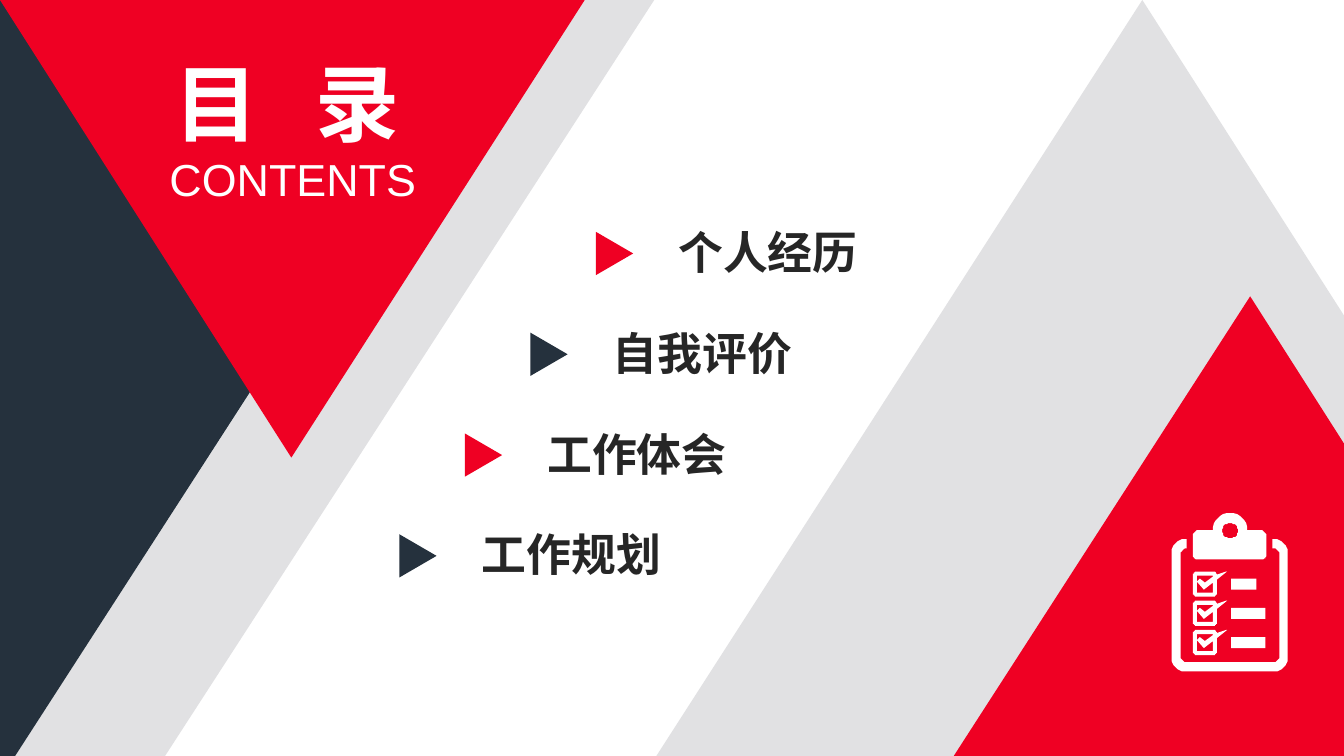
from dataclasses import dataclass

import pptx
import pptx.util
import pptx.dml.color
import pptx.enum.shapes
import pptx.enum.text

GRID = pptx.util.Inches(0.01)
COLUMNS, ROWS = 1333, 750
SHAPES = pptx.enum.shapes.MSO_SHAPE


@dataclass(frozen=True)
class Theme:
    red: str = "EF0023"
    navy: str = "25313D"
    grey: str = "E1E1E3"
    white: str = "FFFFFF"
    ink: str = "262626"
    font: str = "Arial"
    title_size: int = 60
    text_size: int = 32


@dataclass(frozen=True)
class Box:
    left: float
    top: float
    width: float
    height: float

    def inner(self, left, top, width, height):
        return Box(self.left + left, self.top + top, width, height)

    def lengths(self):
        return [round(v * GRID) for v in (self.left, self.top, self.width, self.height)]


THEME = Theme()


def paint(shape, color):
    shape.shadow.inherit = False
    shape.fill.solid()
    shape.fill.fore_color.rgb = pptx.dml.color.RGBColor.from_string(color)
    shape.line.fill.background()


def add_preset(page, kind, box, color, rotation):
    shape = page.shapes.add_shape(kind, *box.lengths())
    shape.rotation = rotation
    paint(shape, color)


def add_outline(page, box, contours, color):
    placed = [[(box.left + x, box.top + y) for x, y in contour] for contour in contours]
    builder = page.shapes.build_freeform(*placed[0][0], scale=GRID)
    for index, contour in enumerate(placed):
        if index:
            builder.move_to(*contour[0])
        builder.add_line_segments(contour[1:], close=True)
    paint(builder.convert_to_shape(), color)


def add_span(para, text, size, color, bold):
    span = para.add_run()
    span.text = text
    span.font.name = THEME.font
    span.font.size = pptx.util.Pt(size)
    span.font.bold = bold
    span.font.color.rgb = pptx.dml.color.RGBColor.from_string(color)
    return span


def rounded(corners, steps=8):
    points = []
    for index, (x, y, radius) in enumerate(corners):
        if not radius:
            points.append((x, y))
            continue
        ends = []
        for near_x, near_y, _ in (corners[index - 1], corners[(index + 1) % len(corners)]):
            distance = ((near_x - x) ** 2 + (near_y - y) ** 2) ** 0.5
            ends.append((x + (near_x - x) * radius / distance,
                         y + (near_y - y) * radius / distance))
        (start_x, start_y), (end_x, end_y) = ends
        pull = 0.8
        for step in range(steps + 1):
            t = step / steps
            a, b, c = (1 - t) ** 2, 2 * t * (1 - t), t ** 2
            weight = a + b * pull + c
            points.append(((a * start_x + b * pull * x + c * end_x) / weight,
                           (a * start_y + b * pull * y + c * end_y) / weight))
    return points


def rectangle(left, top, width, height, radius=0):
    right, bottom = left + width, top + height
    return rounded([(left, top, radius), (left, bottom, radius),
                    (right, bottom, radius), (right, top, radius)])


def draw_backdrop(page, box):
    right, bottom = box.width, box.height
    add_preset(page, SHAPES.RECTANGLE, box.inner(271, -167, 125, 1079), THEME.grey, 32.9)
    outlines = (
        (THEME.grey, [(1133, 0), (651, bottom), (right, bottom), (right, 313)]),
        (THEME.navy, [(499, 0), (0, 0), (0, bottom), (15, bottom)]),
        (THEME.red, [(0, 0), (289, 454), (580, 0)]),
        (THEME.red, [(right, 440), (1240, 294), (946, bottom), (right, bottom)]),
    )
    for color, outline in outlines:
        add_outline(page, box, [outline], color)


def draw_title(page, box):
    title = page.shapes.title
    title.left, title.top, title.width, title.height = box.lengths()
    page.shapes._spTree.append(title._element)
    frame = title.text_frame
    frame.margin_left = frame.margin_right = frame.margin_top = frame.margin_bottom = 0
    frame.word_wrap = False
    frame.auto_size = pptx.enum.text.MSO_AUTO_SIZE.NONE
    frame.vertical_anchor = pptx.enum.text.MSO_ANCHOR.TOP
    heading = frame.paragraphs[0]
    subtitle = frame.add_paragraph()
    for para in (heading, subtitle):
        para.alignment = pptx.enum.text.PP_ALIGN.CENTER
    for text in ("目", " ", "录"):
        span = add_span(heading, text, THEME.title_size, THEME.white, True)
        if text == " ":
            span._r.get_or_add_rPr().set("spc", "2700")
    add_span(subtitle, "CONTENTS", THEME.text_size, THEME.white, False)
    subtitle._p.get_or_add_pPr().set("marL", str(12 * GRID))


def draw_clipboard(page, box):
    board = rounded([(15, 26, 0), (0, 26, 13), (0, 157, 13), (115, 157, 13),
                     (115, 26, 13), (100, 26, 0), (100, 35, 0), (107, 35, 6),
                     (107, 148, 6), (9, 148, 6), (9, 35, 6), (15, 35, 0)])
    clip = rounded([(41, 17, 0), (21, 17, 6), (21, 46, 5), (94, 46, 5),
                    (94, 17, 6), (75, 17, 0), (75, 0, 17), (41, 0, 17)])
    contours = [board, clip, rectangle(50, 10, 16, 15, 7.5)]
    tick_box = rounded([(21, 58, 4), (21, 83, 4), (45, 83, 4), (45, 66, 0),
                        (55, 58, 0), (54, 58, 0), (45, 61, 0), (44, 58, 2)])
    tick = [(25, 62), (41, 62), (41, 63), (33, 69), (28, 65), (25, 68),
            (32, 76), (41, 69), (41, 79), (25, 79)]
    for row, bar_width in enumerate((25, 34, 34)):
        drop = 29 * row
        for contour in (tick_box, tick, rectangle(59, 65, bar_width, 11)):
            contours.append([(x, y + drop) for x, y in contour])
    add_outline(page, box, contours, THEME.white)


def draw_entries(page, box, labels):
    column_step = 65
    row_step = box.height / len(labels)
    for row, label in enumerate(labels):
        left = column_step * (len(labels) - 1 - row)
        top = row_step * row
        color = (THEME.red, THEME.navy)[row % 2]
        add_preset(page, SHAPES.ISOSCELES_TRIANGLE,
                   box.inner(left, top + 15, 43, 37), color, 90)
        text = page.shapes.add_textbox(*box.inner(left + 75, top, 200, 64).lengths())
        text.text_frame.word_wrap = False
        add_span(text.text_frame.paragraphs[0], label, THEME.text_size, THEME.ink, True)


def build_contents(deck):
    page = deck.slides.add_slide(deck.slide_layouts[5])
    draw_backdrop(page, Box(0, 0, COLUMNS, ROWS))
    draw_title(page, Box(99, 51, 371, 149))
    draw_clipboard(page, Box(1162, 509, 115, 157))
    draw_entries(page, Box(393, 218, 470, 400),
                 ("个人经历", "自我评价", "工作体会", "工作规划"))


def main():
    deck = pptx.Presentation()
    deck.slide_width = COLUMNS * GRID
    deck.slide_height = ROWS * GRID
    build_contents(deck)
    deck.save("out.pptx")


if __name__ == "__main__":
    main()
